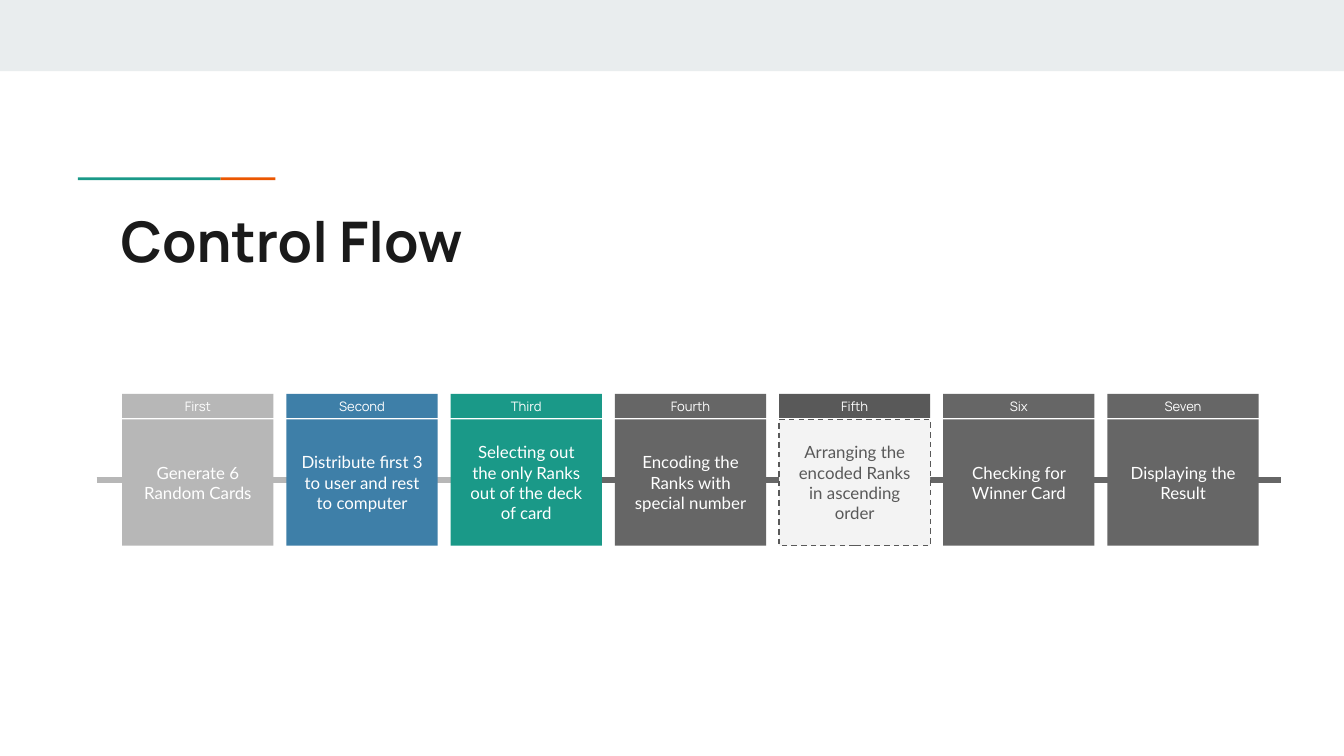
from lxml import etree
from pptx import Presentation
from pptx.dml.color import RGBColor
from pptx.enum import dml, shapes, text
from pptx.oxml.ns import qn
from pptx.util import Inches, Pt

HEX = {
    "band": "E9EDEE", "ink": "1A1A1A", "white": "FFFFFF",
    "teal": "1A9988", "orange": "EB5600", "blue": "3E7FA8",
    "silver": "B7B7B7", "gray": "666666", "dark": "595959", "pale": "F3F3F3",
}
FONTS = {
    "title": {"name": "Manrope", "size": Pt(30), "bold": True},
    "head": {"name": "Manrope", "size": Pt(7)},
    "body": {"name": "Lato", "size": Pt(9)},
}
# heading, wording, main colour
STEPS = [
    ("First", "Generate 6 Random Cards", "silver"),
    ("Second", "Distribute first 3 to user and rest to computer", "blue"),
    ("Third", "Selecting out the only Ranks out of the deck of card", "teal"),
    ("Fourth", "Encoding the Ranks with special number", "gray"),
    ("Fifth", "Arranging the encoded Ranks in ascending order", "dark"),
    ("Six", "Checking for Winner Card", "gray"),
    ("Seven", "Displaying the Result", "gray"),
]
FIRST, LAST = 0.91, 8.24
PITCH = (LAST - FIRST) / (len(STEPS) - 1)
WIDTH = 9 / 8
AXIS = 3.57


def color(name):
    return RGBColor.from_string(HEX[name])


def write(shape, words, style, tint, align, anchor):
    frame = shape.text_frame
    form = {"word_wrap": True, "vertical_anchor": anchor}
    for side in ("left", "top", "right", "bottom"):
        form["margin_" + side] = Inches(0.1)
    for key, value in form.items():
        setattr(frame, key, value)
    para = frame.paragraphs[0]
    para.alignment = align
    run = para.add_run()
    run.text = words
    for key, value in FONTS[style].items():
        setattr(run.font, key, value)
    run.font.color.rgb = color(tint)


def add_rect(slide, box, fill):
    rect = slide.shapes.add_shape(
        shapes.MSO_SHAPE.RECTANGLE, *map(Inches, box))
    rect.shadow.inherit = False
    rect.fill.solid()
    rect.fill.fore_color.rgb = color(fill)
    rect.line.fill.background()
    return rect


def add_rail(slide, start, end, tint):
    """Draw one stretch of the line that runs behind the steps."""
    rail = slide.shapes.add_connector(
        shapes.MSO_CONNECTOR.STRAIGHT,
        Inches(start), Inches(AXIS), Inches(end), Inches(AXIS))
    rail.line.color.rgb = color(tint)
    rail.line.width = Pt(3)
    etree.SubElement(rail._element.spPr, qn("a:effectLst"))


def add_title(slide, words):
    box = slide.shapes.add_textbox(
        Inches(0.8), Inches(1.44), Inches(8.41), Inches(0.59))
    write(box, words, "title", "ink",
          text.PP_ALIGN.LEFT, text.MSO_ANCHOR.TOP)


def add_step(slide, left, head, body, tint):
    """Draw a step; the dark one gets a pale body with a dashed edge."""
    dashed = tint == "dark"
    card = add_rect(slide, (left, 3.12, WIDTH, 0.94),
                    "pale" if dashed else tint)
    if dashed:
        card.line.color.rgb = color(tint)
        card.line.width = Pt(0.75)
        card.line.dash_style = dml.MSO_LINE.DASH
    label = add_rect(slide, (left, 2.93, WIDTH, 0.18), tint)
    middle = text.PP_ALIGN.CENTER, text.MSO_ANCHOR.MIDDLE
    write(card, body, "body", tint if dashed else "white", *middle)
    write(label, head, "head", "white", *middle)


def main():
    deck = Presentation()
    deck.slide_width = Inches(10)
    deck.slide_height = Inches(10 * 9 / 16)
    slide = deck.slides.add_slide(deck.slide_layouts[6])
    add_rect(slide, (0, 0, 10, 0.53), "band")
    add_rect(slide, (1.64, 1.32, 0.41, 0.02), "orange")
    add_rect(slide, (0.58, 1.32, 1.06, 0.02), "teal")
    add_rail(slide, 4.45, 9.53, "gray")
    add_rail(slide, 0.72, 4.24, "silver")
    add_title(slide, "Control Flow")
    for index, step in enumerate(STEPS):
        add_step(slide, FIRST + index * PITCH, *step)
    deck.save("out.pptx")


if __name__ == "__main__":
    main()
